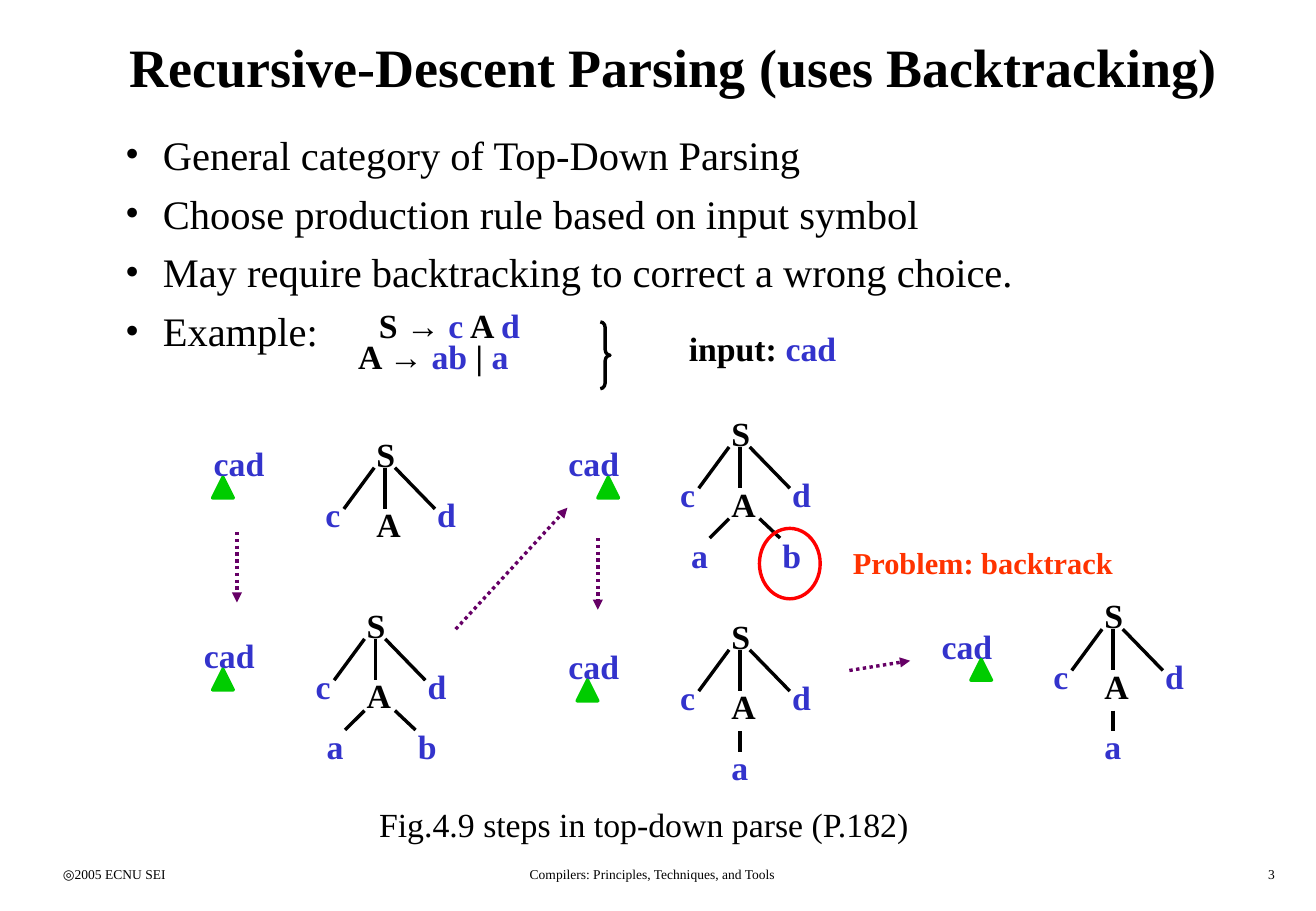
from dataclasses import dataclass

from lxml import etree
from pptx import Presentation
from pptx.dml.color import RGBColor
from pptx.enum.dml import MSO_LINE
from pptx.enum.shapes import MSO_CONNECTOR, MSO_SHAPE
from pptx.enum.text import MSO_ANCHOR, MSO_AUTO_SIZE, PP_ALIGN
from pptx.oxml.ns import qn
from pptx.util import Inches, Pt

LEFT, CENTER, RIGHT = PP_ALIGN.LEFT, PP_ALIGN.CENTER, PP_ALIGN.RIGHT
TOP, MIDDLE = MSO_ANCHOR.TOP, MSO_ANCHOR.MIDDLE
NO_AUTOFIT = MSO_AUTO_SIZE.NONE
STRAIGHT = MSO_CONNECTOR.STRAIGHT
DOTTED = MSO_LINE.ROUND_DOT
TRIANGLE, ELLIPSE, BRACE = MSO_SHAPE.ISOSCELES_TRIANGLE, MSO_SHAPE.OVAL, MSO_SHAPE.RIGHT_BRACE


@dataclass(frozen=True)
class Theme:
    font: str = "Times New Roman"
    text: RGBColor = RGBColor(0, 0, 0)
    terminal: RGBColor = RGBColor(0x33, 0x33, 0xCC)
    pointer: RGBColor = RGBColor(0, 0xCC, 0)
    arrow: RGBColor = RGBColor(0x66, 0, 0x66)
    circle: RGBColor = RGBColor(0xFF, 0, 0)
    problem: RGBColor = RGBColor(0xFF, 0x33, 0)
    title_size: int = 32
    body_size: int = 24
    label_size: int = 20
    note_size: int = 18
    footer_size: int = 8
    line_width: int = 2


THEME = Theme()
LABEL_HEIGHT = 0.43


def place(shape, box):
    shape.left, shape.top, shape.width, shape.height = map(Inches, box)


def set_font(paragraph, size, bold=False, color=THEME.text):
    font = paragraph.font
    font.name, font.size, font.bold = THEME.font, Pt(size), bold
    font.color.rgb = color


def add_text(slide, box, text, size=THEME.label_size, bold=True, color=THEME.text,
             align=LEFT, anchor=TOP):
    frame = slide.shapes.add_textbox(*map(Inches, box)).text_frame
    frame.word_wrap = True
    frame.vertical_anchor = anchor
    paragraph = frame.paragraphs[0]
    paragraph.text = text
    paragraph.alignment = align
    set_font(paragraph, size, bold, color)
    return frame


def add_symbols(paragraph, symbols):
    for text, color in symbols:
        run = paragraph.add_run()
        run.text = text
        run.font.color.rgb = color


def add_outline(slide, kind, box, color, fill=None):
    shape = slide.shapes.add_shape(kind, *map(Inches, box))
    shape.shadow.inherit = False
    if fill is None:
        shape.fill.background()
    else:
        shape.fill.solid()
        shape.fill.fore_color.rgb = fill
    shape.line.color.rgb = color
    shape.line.width = Pt(THEME.line_width)
    return shape


def add_line(slide, start, end, color=THEME.text):
    connector = slide.shapes.add_connector(STRAIGHT, *map(Inches, (*start, *end)))
    connector.line.color.rgb = color
    connector.line.width = Pt(THEME.line_width)
    etree.SubElement(connector._element.spPr, qn("a:effectLst"))
    return connector


def add_arrow(slide, start, end):
    connector = add_line(slide, start, end, THEME.arrow)
    connector.line.dash_style = DOTTED
    outline = connector._element.spPr.find(qn("a:ln"))
    etree.SubElement(outline, qn("a:tailEnd"), type="triangle")


def add_title(slide, box):
    title = slide.shapes.title
    place(title, box)
    frame = title.text_frame
    frame.auto_size = NO_AUTOFIT
    frame.vertical_anchor = MIDDLE
    paragraph = frame.paragraphs[0]
    paragraph.text = "Recursive-Descent Parsing (uses Backtracking)"
    paragraph.alignment = CENTER
    set_font(paragraph, THEME.title_size, True)


def add_bullets(slide, box):
    body = slide.placeholders[1]
    place(body, box)
    frame = body.text_frame
    frame.auto_size = NO_AUTOFIT
    points = ("General category of Top-Down Parsing",
              "Choose production rule based on input symbol",
              "May require backtracking to correct a wrong choice.",
              "Example:")
    for index, text in enumerate(points):
        paragraph = frame.paragraphs[0] if index == 0 else frame.add_paragraph()
        paragraph.text = text
        paragraph.space_before = Pt(6 if index else 0)
        properties = paragraph._p.get_or_add_pPr()
        properties.set("marL", str(Inches(0.31)))
        properties.set("indent", str(-Inches(0.31)))
        etree.SubElement(properties, qn("a:buFont"), typeface=THEME.font)
        etree.SubElement(properties, qn("a:buChar"), char="•")
        set_font(paragraph, THEME.body_size)


def add_grammar(slide, box):
    left, top, width, height = box
    frame = add_text(slide, (left, top, 2, height), "")
    start_rule, second_rule = frame.paragraphs[0], frame.add_paragraph()
    add_symbols(start_rule, (("S → ", THEME.text), ("c", THEME.terminal),
                             (" A ", THEME.text), ("d", THEME.terminal)))
    add_symbols(second_rule, (("A → ", THEME.text), ("ab", THEME.terminal),
                              (" | ", THEME.text), ("a", THEME.terminal)))
    start_rule._p.get_or_add_pPr().set("marL", str(Inches(0.17)))
    for paragraph in frame.paragraphs:
        paragraph.line_spacing = Pt(18.4)
        set_font(paragraph, THEME.label_size, True)
    brace = add_outline(slide, BRACE, (left + 2.09, top + 0.11, 0.08, 0.55), THEME.text)
    brace.adjustments[0] = 0.589
    sentence = add_text(slide, (left + 2.72, top + 0.11, width - 2.72, LABEL_HEIGHT), "")
    add_symbols(sentence.paragraphs[0], (("input: ", THEME.text), ("cad", THEME.terminal)))


def add_step(slide, box, input_top, pointer_left, leaves):
    left, top, width, height = box
    root_left = left + 1.34
    add_text(slide, (left, top + input_top, 0.75, LABEL_HEIGHT), "cad", color=THEME.terminal)
    add_outline(slide, TRIANGLE, (left + pointer_left, top + input_top + 0.33, 0.17, 0.17),
                THEME.pointer, THEME.pointer)
    nodes = [("S", 0, 0), ("c", -0.42, 0.5), ("d", 0.5, 0.5), ("A", 0, 0.58)]
    branches = [(0.08, 0.33, -0.17, 0.67), (0.17, 0.33, 0.17, 0.67), (0.25, 0.33, 0.58, 0.67)]
    if leaves == "ab":
        nodes += [("a", -0.33, 1), ("b", 0.42, 1)]
        branches += [(0.08, 0.92, -0.08, 1.08), (0.33, 0.92, 0.5, 1.08)]
    elif leaves == "a":
        nodes.append(("a", 0, 1.08))
        branches.append((0.17, 1, 0.17, 1.17))
    for symbol, across, down in nodes:
        add_text(slide, (root_left + across, top + down, 0.5 if symbol == "A" else 0.33, LABEL_HEIGHT),
                 symbol, color=THEME.terminal if symbol.islower() else THEME.text)
    for x1, y1, x2, y2 in branches:
        add_line(slide, (root_left + x1, top + y1), (root_left + x2, top + y2))


def add_problem(slide, box):
    left, top, width, height = box
    add_outline(slide, ELLIPSE, (left, top, 0.5, height), THEME.circle)
    add_text(slide, (left + 0.67, top + 0.08, width - 0.67, 0.4), "Problem: backtrack",
             THEME.note_size, color=THEME.problem)


def add_footer(slide, box):
    left, top, width, height = box
    parts = (("◎2005 ECNU SEI", 0, 2.26, LEFT),
             ("Compilers: Principles, Techniques, and Tools", 2.92, 4.06, CENTER),
             ("3", width - 2.26, 2.26, RIGHT))
    for text, across, part_width, align in parts:
        add_text(slide, (left + across, top, part_width, height), text,
                 THEME.footer_size, False, align=align)


def main():
    presentation = Presentation()
    presentation.slide_width, presentation.slide_height = Inches(10.83), Inches(7.5)
    slide = presentation.slides.add_slide(presentation.slide_layouts[1])
    add_title(slide, (0.42, 0.17, 10.25, 0.75))
    add_bullets(slide, (0.93, 1.02, 8.65, 2.18))
    add_grammar(slide, (2.85, 2.54, 4.72, 0.66))
    steps = (((1.66, 3.52, 2.17, 1.01), 0.08, 0.09, ""),
             ((1.58, 4.93, 2.17, 1.43), 0.25, 0.17, "ab"),
             ((4.58, 3.35, 2.17, 1.43), 0.25, 0.34, "ab"),
             ((4.58, 5.02, 2.17, 1.51), 0.25, 0.17, "a"),
             ((7.65, 4.85, 2.17, 1.51), 0.25, 0.34, "a"))
    for step in steps:
        add_step(slide, *step)
    add_problem(slide, (6.25, 4.35, 3.17, 0.58))
    arrows = (((1.95, 4.38), (1.95, 4.96)), ((3.75, 5.18), (4.67, 4.18)),
              ((4.92, 4.43), (4.92, 5.02)), ((6.99, 5.52), (7.49, 5.44)))
    for start, end in arrows:
        add_arrow(slide, start, end)
    add_text(slide, (2.27, 6.59, 6.06, 0.39), "Fig.4.9 steps in top-down parse (P.182)",
             bold=False, align=CENTER, anchor=MIDDLE)
    add_footer(slide, (0.42, 7.08, 10.17, 0.25))
    presentation.save("out.pptx")


if __name__ == "__main__":
    main()
